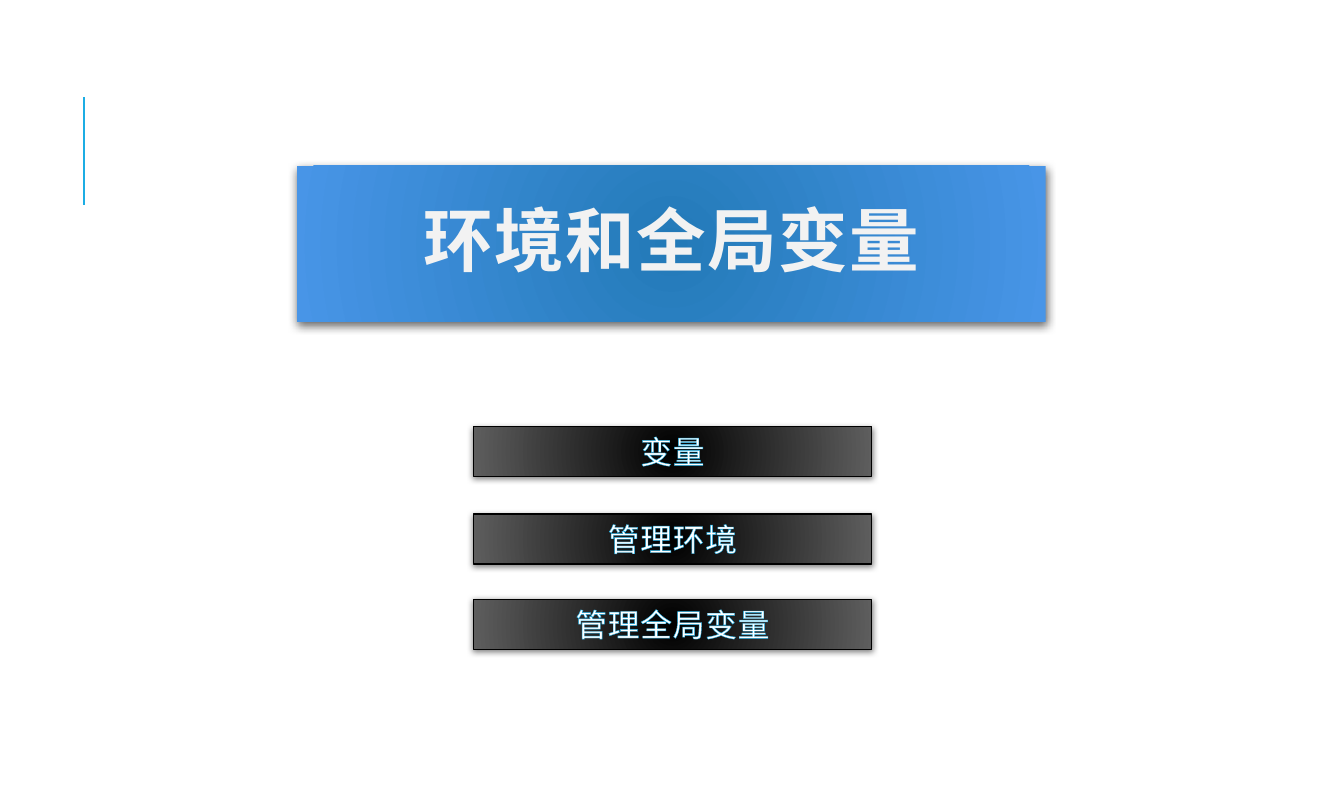
from dataclasses import dataclass

from lxml import etree
from pptx import Presentation
from pptx import util as u
from pptx.dml import color
from pptx.enum import shapes, text
from pptx.oxml import ns

FONT = "Noto Sans CJK SC"
CYAN = "1CADE4"
INCH = 2.54  # centimetres


@dataclass
class Style:
    inner: str
    outer: str
    ink: str
    font: str
    size: float
    track: int  # hundredths of a point
    haze: int  # shadow opacity, percent
    blur: float
    drop: float
    bold: bool = False
    edge: str = ""  # box outline
    rim: str = ""  # glyph outline


@dataclass
class Box:
    label: str
    left: float
    top: float
    width: float
    height: float
    style: Style


def rgb(code: str) -> color.RGBColor:
    return color.RGBColor.from_string(code)


def sub(parent, tag: str, **attrs):
    """Append a DrawingML child with the given attributes."""
    pairs = {key: str(val) for key, val in attrs.items()}
    return etree.SubElement(parent, ns.qn(tag), pairs)


def glow(shape, style: Style) -> None:
    """Fill with a radial gradient, dark at the centre."""
    shape.fill.gradient()
    for stop, code in zip(shape.fill.gradient_stops, (style.inner, style.outer)):
        stop.color.rgb = rgb(code)
    grad = shape._element.spPr.find(ns.qn("a:gradFill"))
    grad.remove(grad.find(ns.qn("a:lin")))
    ring = sub(grad, "a:path", path="circle")
    sub(ring, "a:fillToRect", l=100000, t=100000, r=100000, b=100000)


def shade(shape, style: Style) -> None:
    """Cast a soft shadow straight down."""
    shape.shadow.inherit = False
    fx = shape._element.spPr.find(ns.qn("a:effectLst"))
    cast = sub(fx, "a:outerShdw", blurRad=u.Pt(style.blur), dist=u.Pt(style.drop),
               dir=5400000, algn="ctr", rotWithShape=0)
    tint = sub(cast, "a:srgbClr", val="000000")
    sub(tint, "a:alpha", val=style.haze * 1000)


def write(shape, label: str, style: Style) -> None:
    shape.text_frame.text = label
    para = shape.text_frame.paragraphs[0]
    para.alignment = text.PP_ALIGN.CENTER
    run = para.runs[0]
    run.font.size = u.Pt(style.size)
    run.font.bold = style.bold
    run.font.color.rgb = rgb(style.ink)
    run.font.name = style.font
    props = run._r.get_or_add_rPr()
    props.set("spc", str(style.track))
    sub(props, "a:ea", typeface=FONT)
    if style.rim:
        line = sub(props, "a:ln", w=u.Pt(0.75))
        sub(sub(line, "a:solidFill"), "a:srgbClr", val=style.rim)
        props.insert(0, line)


def draw(slide, box: Box):
    area = map(u.Inches, (box.left, box.top, box.width, box.height))
    shape = slide.shapes.add_shape(shapes.MSO_SHAPE.RECTANGLE, *area)
    style = box.style
    glow(shape, style)
    if style.edge:
        shape.line.color.rgb = rgb(style.edge)
        shape.line.width = u.Pt(0.75)
    else:
        shape.line.fill.background()
    shade(shape, style)
    write(shape, box.label, style)
    return shape


def rule(slide) -> None:
    """Draw the accent line at the upper left."""
    ends = map(u.Inches, (0.74, 1.8, 0.74, 0.85))
    line = slide.shapes.add_connector(shapes.MSO_CONNECTOR.STRAIGHT, *ends)
    line.line.color.rgb = rgb(CYAN)
    line.line.width = u.Pt(1.5)
    sub(line._element.spPr, "a:effectLst")


def main() -> None:
    deck = Presentation()
    deck.slide_width = u.Inches(30 / INCH)
    deck.slide_height = u.Inches(18 / INCH)
    slide = deck.slides.add_slide(deck.slide_layouts[6])
    rule(slide)

    head = Style("237AB8", "4895E7", "F2F2F2", FONT, 44, 90, 60, 6, 2, bold=True)
    title = draw(slide, Box("环境和全局变量", 2.61, 1.46, 6.58, 1.37, head))
    title.text_frame.vertical_anchor = text.MSO_ANCHOR.MIDDLE
    title.text_frame.paragraphs[0].line_spacing = 0.9

    item = Style("000000", "5E5E5E", "FFFFFF", "Arial", 20, 50, 50, 4, 1,
                 edge="000000", rim=CYAN)
    topics = (("变量", 3.75), ("管理环境", 4.52), ("管理全局变量", 5.27))
    for label, top in topics:
        frame = draw(slide, Box(label, 4.16, top, 3.5, 0.44, item)).text_frame
        frame.vertical_anchor = text.MSO_ANCHOR.TOP
        frame.auto_size = text.MSO_AUTO_SIZE.SHAPE_TO_FIT_TEXT

    deck.save("out.pptx")


if __name__ == "__main__":
    main()
